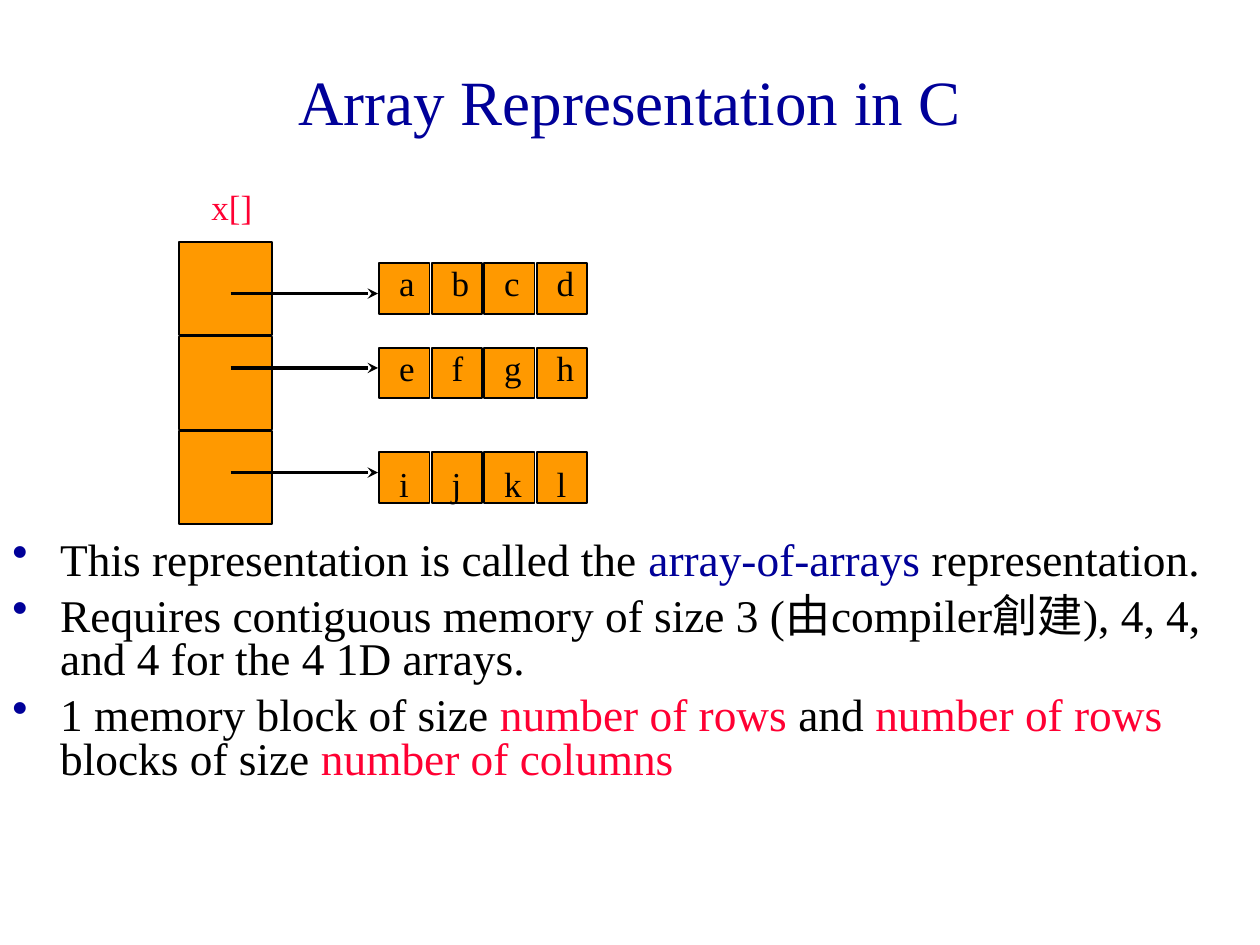
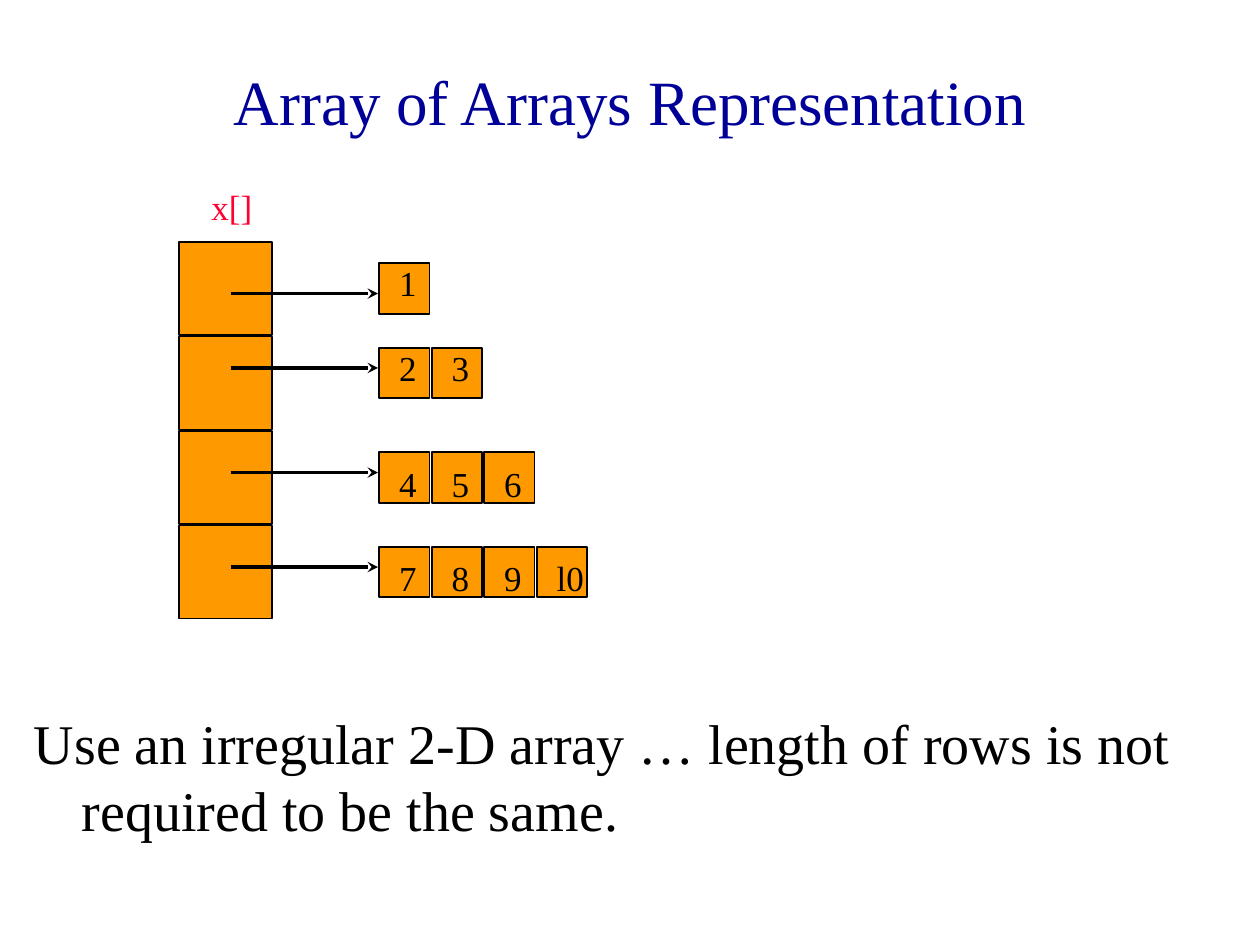
from dataclasses import dataclass

from lxml import etree
from pptx import Presentation, util as u
from pptx.dml.color import RGBColor
from pptx.enum import shapes, text
from pptx.oxml.ns import qn

COLOURS = {"navy": "000099", "orange": "FF9900", "red": "FF0033", "black": "000000"}
FONT = "Times New Roman"
SLOT_LEFT, SLOT_TOP, SLOT_SIZE, SLOT_PITCH = 1.42, 1.92, 0.74, 0.75
CELL_LEFT, CELL_SIZE, CELL_PITCH = 3.01, 0.4, 1.25 / 3
LABEL_OFFSET = 0.06
ARROW_START, ARROW_END = 1.83, 3.0
HANGING = 0.38


@dataclass(frozen=True)
class Frame:
    left: float
    top: float
    width: float
    height: float

    def lengths(self) -> list:
        return [u.Inches(side) for side in (self.left, self.top, self.width, self.height)]


@dataclass(frozen=True)
class Span:
    words: str
    colour: str = "black"


@dataclass(frozen=True)
class RowPlace:
    cell_top: float
    arrow_y: float
    label_top: float


@dataclass(frozen=True)
class Body:
    frame: Frame
    size: float
    paragraphs: tuple
    bulleted: bool
    line_spacing: float
    space_before: float


@dataclass(frozen=True)
class ArrayPage:
    title: str
    rows: tuple
    body: Body


ROW_PLACES = (
    RowPlace(2.09, 2.33, 2.03),
    RowPlace(2.76, 2.92, 2.7),
    RowPlace(3.59, 3.75, 3.62),
    RowPlace(4.34, 4.5, 4.37),
)
TITLE_FRAME = Frame(0.25, 0.17, 9.5, 1.25)
NAME_FRAME = Frame(1.58, 1.42, 0.83, 0.43)

PAGES = (
    ArrayPage(
        "Array Representation in C",
        (("a", "b", "c", "d"), ("e", "f", "g", "h"), ("i", "j", "k", "l")),
        Body(
            Frame(0, 4.25, 9.67, 2.17),
            25.9,
            (
                (
                    Span("This representation is called the "),
                    Span("array-of-arrays", "navy"),
                    Span(" representation."),
                ),
                (Span("Requires contiguous memory of size 3 (由compiler創建), 4, 4, and 4 for the 4 1D arrays."),),
                (
                    Span("1 memory block of size "),
                    Span("number of rows ", "red"),
                    Span("and "),
                    Span("number of rows ", "red"),
                    Span("blocks of size "),
                    Span("number of columns", "red"),
                ),
            ),
            bulleted=True,
            line_spacing=0.8,
            space_before=7,
        ),
    ),
    ArrayPage(
        "Array of Arrays Representation",
        (("1",), ("2", "3"), ("4", "5", "6"), ("7", "8", "9", "l0")),
        Body(
            Frame(0.17, 5.57, 9.67, 1.52),
            32,
            ((Span("Use an irregular 2-D array … length of rows is not required to be the same."),),),
            bulleted=False,
            line_spacing=1.0,
            space_before=8,
        ),
    ),
)


def rgb(name: str) -> RGBColor:
    return RGBColor.from_string(COLOURS[name])


def apply_format(target, values: dict) -> None:
    for name, value in values.items():
        setattr(target, name, value)


def add_span(para, span: Span, size: float) -> None:
    run = para.add_run()
    run.text = span.words
    apply_format(run.font, {"name": FONT, "size": u.Pt(size)})
    run.font.color.rgb = rgb(span.colour)


def add_text(page, frame: Frame, span: Span, size: float, box_format: dict, alignment=None) -> None:
    box = page.shapes.add_textbox(*frame.lengths())
    apply_format(box.text_frame, box_format)
    para = box.text_frame.paragraphs[0]
    para.alignment = alignment
    add_span(para, span, size)


def hang_paragraph(para, bulleted: bool) -> None:
    properties = para._p.get_or_add_pPr()
    indent = u.Inches(HANGING)
    properties.set("marL", str(indent))
    properties.set("indent", str(-indent))
    if bulleted:
        colour = etree.SubElement(properties, qn("a:buClr"))
        etree.SubElement(colour, qn("a:srgbClr"), val=COLOURS["navy"])
        etree.SubElement(properties, qn("a:buChar"), char="•")


def add_body(page, body: Body) -> None:
    box = page.shapes.add_textbox(*body.frame.lengths())
    frame = box.text_frame
    frame.word_wrap = True
    for index, spans in enumerate(body.paragraphs):
        para = frame.add_paragraph() if index else frame.paragraphs[0]
        hang_paragraph(para, body.bulleted)
        para.line_spacing = body.line_spacing
        if index:
            para.space_before = u.Pt(body.space_before)
        for span in spans:
            add_span(para, span, body.size)


def add_square(page, left: float, top: float, size: float) -> None:
    square = page.shapes.add_shape(
        shapes.MSO_SHAPE.RECTANGLE, *Frame(left, top, size, size).lengths()
    )
    square.shadow.inherit = False
    square.fill.solid()
    square.fill.fore_color.rgb = rgb("orange")
    square.line.color.rgb = rgb("black")
    square.line.width = u.Pt(1)


def add_arrow(page, y: float) -> None:
    ends = [u.Inches(length) for length in (ARROW_START, y, ARROW_END, y)]
    arrow = page.shapes.add_connector(shapes.MSO_CONNECTOR.STRAIGHT, *ends)
    arrow.line.color.rgb = rgb("black")
    arrow.line.width = u.Pt(2)
    etree.SubElement(arrow.line._get_or_add_ln(), qn("a:tailEnd"), type="stealth")
    etree.SubElement(arrow._element.spPr, qn("a:effectLst"))


def add_row(page, index: int, values: tuple) -> None:
    place = ROW_PLACES[index]
    add_square(page, SLOT_LEFT, SLOT_TOP + index * SLOT_PITCH, SLOT_SIZE)
    lefts = [CELL_LEFT + column * CELL_PITCH for column in range(len(values))]
    for left in lefts:
        add_square(page, left, place.cell_top, CELL_SIZE)
    add_arrow(page, place.arrow_y)
    for left, value in zip(lefts, values):
        width = 0.34 if len(value) == 1 else 0.42
        label_frame = Frame(left + LABEL_OFFSET, place.label_top, width, 0.43)
        add_text(page, label_frame, Span(value), 20, {"word_wrap": False})


def add_page(deck, content: ArrayPage) -> None:
    page = deck.slides.add_slide(deck.slide_layouts[6])
    title_format = {"word_wrap": True, "vertical_anchor": text.MSO_ANCHOR.MIDDLE}
    add_text(page, TITLE_FRAME, Span(content.title, "navy"), 36, title_format, text.PP_ALIGN.CENTER)
    add_body(page, content.body)
    for index, values in enumerate(content.rows):
        add_row(page, index, values)
    add_text(page, NAME_FRAME, Span("x[]", "red"), 20, {"word_wrap": True})


def main() -> None:
    deck = Presentation()
    apply_format(deck, {"slide_width": u.Inches(10), "slide_height": u.Inches(7.5)})
    for content in PAGES:
        add_page(deck, content)
    deck.save("out.pptx")


if __name__ == "__main__":
    main()
